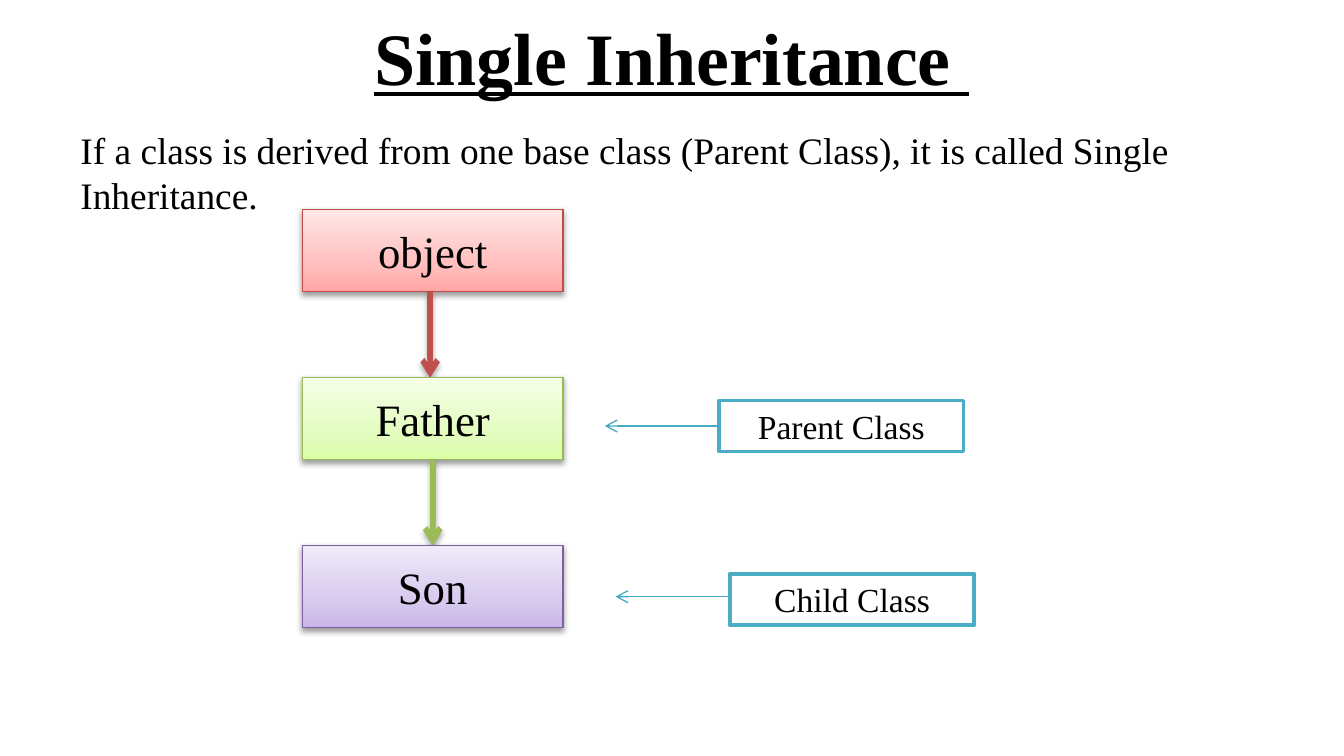
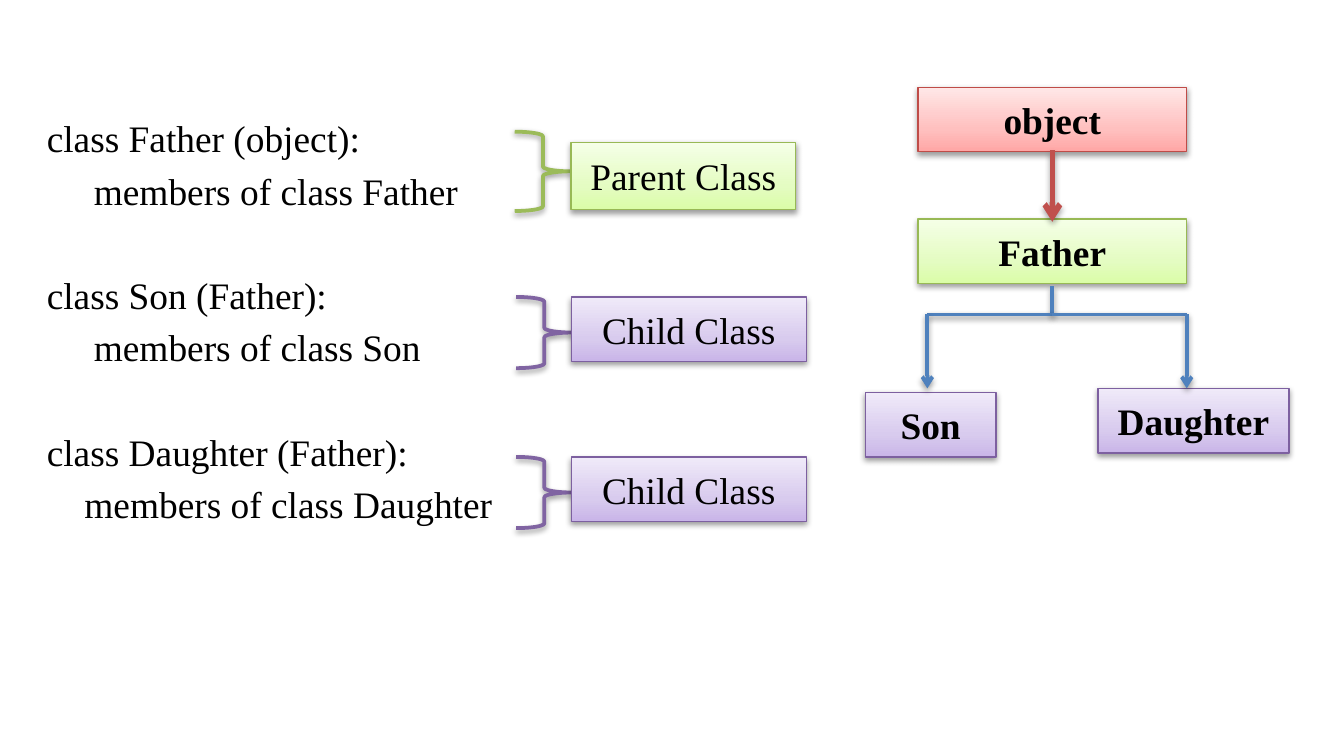
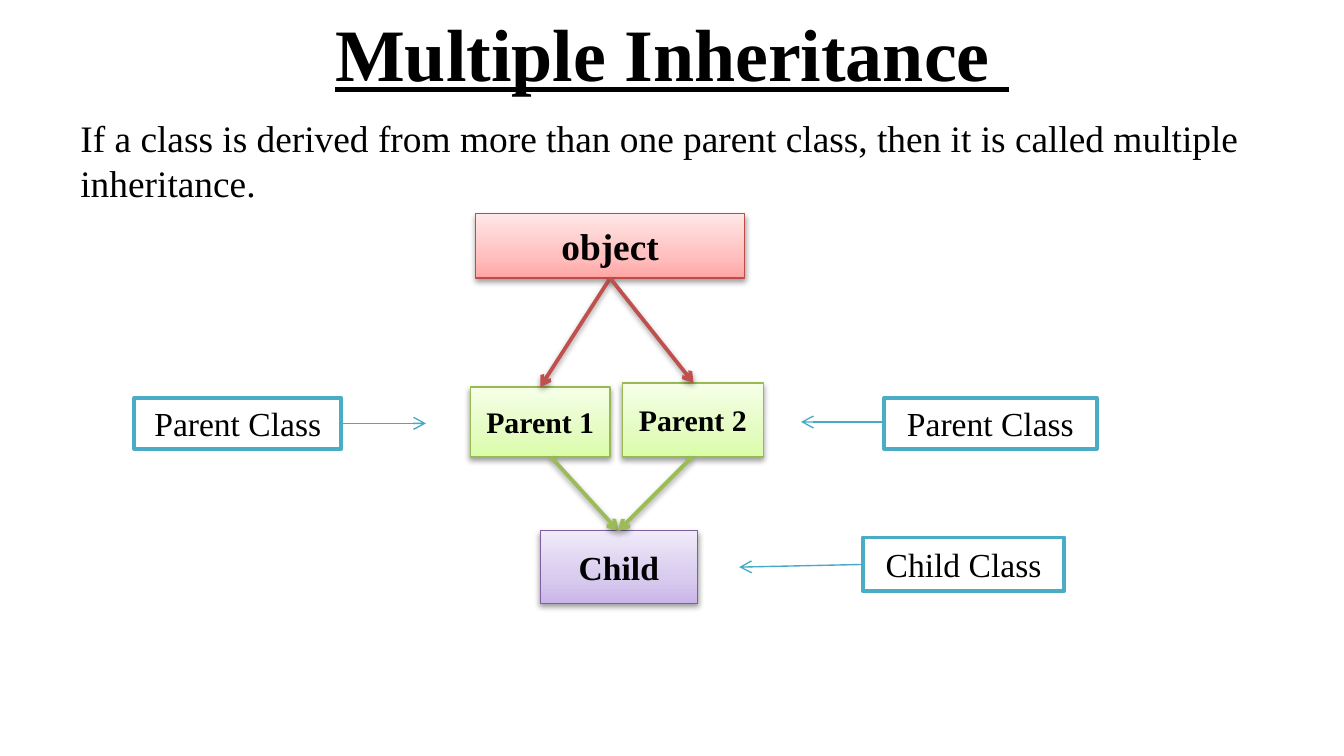
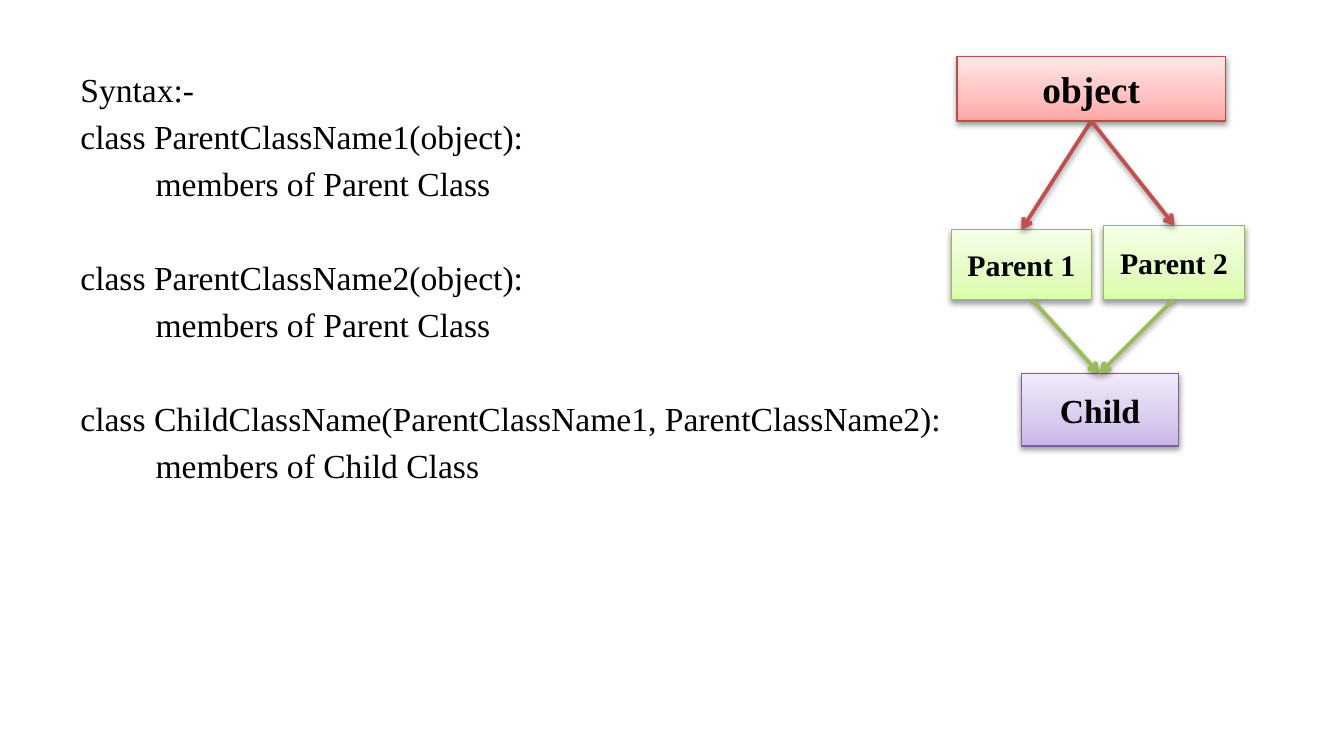
from dataclasses import dataclass, field

from lxml import etree
from pptx import Presentation
from pptx import util as u
from pptx.dml.color import RGBColor
from pptx.enum import shapes, text
from pptx.oxml import ns


@dataclass(frozen=True)
class Theme:
    """Colours, font and type sizes shared by all slides."""
    font: str = "Times New Roman"
    ink: str = "000000"
    paper: str = "FFFFFF"
    callout_edge: str = "4BACC6"
    callout_arrow: str = "46AAC5"
    tree: str = "4F81BD"
    title: float = 39.6
    large: int = 24
    body: int = 20
    label: int = 18
    small: int = 16
    thin: float = 0.75
    medium: int = 2
    thick: int = 3
    gradients: dict = field(default_factory=lambda: {
        "root": ("FFA6A5", "FFC0BF", "FFE7E7"),
        "parent": ("DAFDA7", "E4FCC2", "F5FFE7"),
        "child": ("C9B5E8", "D8CBEE", "F0EAF9"),
    })
    edges: dict = field(default_factory=lambda: {
        "root": "BF4C48", "parent": "98B955", "child": "7D60A0"})
    accents: dict = field(default_factory=lambda: {
        "root": "C0504D", "parent": "9BBB59", "child": "8064A2"})


THEME = Theme()
BOX_SHADOW = {"blurRad": 40000, "dist": 20000, "alpha": 38000}
ARROW_SHADOW = {"blurRad": 40000, "dist": 23000, "alpha": 35000}


def add_node(parent, tag, **values):
    """Append a drawing element with attributes and return it."""
    node = etree.SubElement(parent, ns.qn(tag))
    for name, value in values.items():
        node.set(name, str(value))
    return node


def add_shadow(effects, shadow):
    """Put a downward outer shadow in an effect list."""
    outer = add_node(effects, "a:outerShdw", blurRad=shadow["blurRad"], dist=shadow["dist"],
                     dir=5400000, rotWithShape=0)
    colour = add_node(outer, "a:srgbClr", val=THEME.ink)
    add_node(colour, "a:alpha", val=shadow["alpha"])


def set_line(line, colour, width):
    """Set the colour and width in points of a line."""
    line.color.rgb = RGBColor.from_string(colour)
    line.width = u.Pt(width)


def set_gradient(shape, colours):
    """Fill a shape with a three-stop gradient running upwards."""
    shape.fill.gradient()
    gradient = shape._element.spPr.find(ns.qn("a:gradFill"))
    for child in list(gradient):
        gradient.remove(child)
    stops = add_node(gradient, "a:gsLst")
    for position, colour in zip((0, 35000, 100000), colours):
        add_node(add_node(stops, "a:gs", pos=position), "a:srgbClr", val=colour)
    add_node(gradient, "a:lin", ang=16200000, scaled=0)


def write(para, words, size, **values):
    """Write one span of text with the given format values."""
    span = para.add_run()
    span.text = words
    span.font.color.rgb = RGBColor.from_string(THEME.ink)
    for name, value in {"name": THEME.font, "size": u.Pt(size), **values}.items():
        setattr(span.font, name, value)


def add_text_frame(page, box):
    """Add a wrapping text box and return its frame."""
    frame = page.shapes.add_textbox(*map(u.Inches, box)).text_frame
    frame.word_wrap = True
    return frame


def add_title(page, words, box):
    """Add the centred, underlined slide title."""
    frame = add_text_frame(page, box)
    frame.vertical_anchor = text.MSO_ANCHOR.MIDDLE
    para = frame.paragraphs[0]
    para.alignment = text.PP_ALIGN.CENTER
    write(para, words, THEME.title, bold=True, underline=True)


def add_body(page, blocks, box, size):
    """Add blocks of (words, indent) lines, set one line apart."""
    frame = add_text_frame(page, box)
    para = None
    for block in blocks:
        for index, (words, indent) in enumerate(block):
            opens_later_block = para is not None and index == 0
            para = frame.paragraphs[0] if para is None else frame.add_paragraph()
            para.line_spacing = u.Pt(1.2 * size)
            para.space_before = u.Pt((1.6 if opens_later_block else 0.2) * size)
            if indent:
                para._p.get_or_add_pPr().set("marL", str(u.Inches(indent)))
            write(para, words, size)


def add_shape(page, kind, box, edge, width):
    """Add a preset shape with an outline and no inherited shadow."""
    shape = page.shapes.add_shape(kind, *map(u.Inches, box))
    shape.shadow.inherit = False
    set_line(shape.line, edge, width)
    return shape


def add_label(shape, words, size, bold=False):
    """Centre a label in a shape."""
    frame = shape.text_frame
    frame.word_wrap = True
    frame.vertical_anchor = text.MSO_ANCHOR.MIDDLE
    para = frame.paragraphs[0]
    para.alignment = text.PP_ALIGN.CENTER
    write(para, words, size, bold=bold)


def add_class_box(page, role, words, box, size, bold=False):
    """Add a shaded class box coloured by its role."""
    shape = add_shape(page, shapes.MSO_SHAPE.RECTANGLE, box, THEME.edges[role], THEME.thin)
    set_gradient(shape, THEME.gradients[role])
    add_shadow(shape._element.spPr.find(ns.qn("a:effectLst")), BOX_SHADOW)
    add_label(shape, words, size, bold)


def add_brace(page, role, box):
    """Add a right brace coloured by its role."""
    shape = add_shape(page, shapes.MSO_SHAPE.RIGHT_BRACE, box, THEME.accents[role], THEME.medium)
    shape.fill.background()
    add_shadow(shape._element.spPr.find(ns.qn("a:effectLst")), BOX_SHADOW)


def add_line(page, start, end, colour, width, arrow=True, shadow=None):
    """Add a straight connector, with an arrowhead at its end if asked."""
    line = page.shapes.add_connector(shapes.MSO_CONNECTOR.STRAIGHT,
                                     *map(u.Inches, (*start, *end)))
    set_line(line.line, colour, width)
    if arrow:
        add_node(line.line._get_or_add_ln(), "a:tailEnd", type="arrow")
    effects = add_node(line._element.spPr, "a:effectLst")
    if shadow:
        add_shadow(effects, shadow)


def add_callout(page, words, box, start, tip):
    """Add an outlined label with a thin arrow to a class box."""
    shape = add_shape(page, shapes.MSO_SHAPE.RECTANGLE, box, THEME.callout_edge, THEME.medium)
    shape.fill.solid()
    shape.fill.fore_color.rgb = RGBColor.from_string(THEME.paper)
    add_label(shape, words, THEME.label)
    add_line(page, start, tip, THEME.callout_arrow, THEME.thin)


def add_chain(page, left, top):
    """Add the object, Father and Son column with its arrows."""
    width, height, step = 1.94, 0.61, 1.25
    classes = (("root", "object", 0.95), ("parent", "Father", 0.97), ("child", "Son", None))
    for index, (role, words, arrow_x) in enumerate(classes):
        y = top + index * step
        add_class_box(page, role, words, (left, y, width, height), THEME.large)
        if arrow_x:
            x = left + arrow_x
            add_line(page, (x, y + height), (x, y + step), THEME.accents[role],
                     THEME.thick, shadow=ARROW_SHADOW)


def add_family_tree(page, left, top):
    """Add the tree in which Son and Daughter derive from Father."""
    for role, words, x, y, width in (
            ("root", "object", 0.39, 0, 2), ("parent", "Father", 0.39, 0.98, 2),
            ("child", "Son", 0, 2.27, 0.97), ("child", "Daughter", 1.73, 2.24, 1.42)):
        add_class_box(page, role, words, (left + x, top + y, width, 0.48), THEME.body, bold=True)
    middle, fork, tips = left + 1.39, top + 1.69, top + 2.24
    add_line(page, (middle, top + 0.47), (middle, top + 1), THEME.accents["root"],
             THEME.thick, shadow=ARROW_SHADOW)
    add_line(page, (middle, top + 1.48), (middle, fork), THEME.tree,
             THEME.medium, arrow=False, shadow=BOX_SHADOW)
    for x in (left + 0.46, left + 2.39):
        add_line(page, (middle, fork), (x, fork), THEME.tree,
                 THEME.medium, arrow=False, shadow=BOX_SHADOW)
        add_line(page, (x, fork), (x, tips), THEME.tree, THEME.medium, shadow=BOX_SHADOW)


def add_diamond(page, left, top):
    """Add the diamond in which Child derives from two parents."""
    for role, words, x, y, width, height, size in (
            ("parent", "Parent 1", 0, 1.29, 1.04, 0.52, THEME.small),
            ("parent", "Parent 2", 1.13, 1.26, 1.05, 0.55, THEME.small),
            ("child", "Child", 0.52, 2.36, 1.17, 0.54, THEME.label),
            ("root", "object", 0.04, 0, 2, 0.48, THEME.body)):
        add_class_box(page, role, words, (left + x, top + y, width, height), size, bold=True)
    for role, start, end in (
            ("parent", (0.6, 1.81), (1.1, 2.36)), ("parent", (1.65, 1.81), (1.1, 2.36)),
            ("root", (1.04, 0.48), (0.52, 1.29)), ("root", (1.04, 0.48), (1.66, 1.26))):
        add_line(page, (left + start[0], top + start[1]), (left + end[0], top + end[1]),
                 THEME.accents[role], THEME.medium, shadow=BOX_SHADOW)


def build_single(page):
    """Build the slide that explains single inheritance."""
    add_title(page, "Single Inheritance ", (0.5, 0.02, 9, 0.79))
    add_body(page, [[("If a class is derived from one base class (Parent Class), "
                      "it is called Single Inheritance.", 0)]], (0.5, 0.9, 9, 1), THEME.body)
    add_chain(page, 2.25, 1.56)
    add_callout(page, "Parent Class", (5.35, 2.98, 1.82, 0.38), (5.35, 3.17), (4.5, 3.17))
    add_callout(page, "Child Class", (5.43, 4.27, 1.82, 0.38), (5.43, 4.44), (4.58, 4.44))


def build_single_syntax(page):
    """Build the slide with class code, braces and family tree."""
    members = (("Father", "object", 0.35), ("Son", "Father", 0.35), ("Daughter", "Father", 0.28))
    blocks = [[(f"class {name} ({base}):", 0), (f"members of class {name}", indent)]
              for name, base, indent in members]
    add_body(page, blocks, (0.25, 0.81, 4.5, 3.75), THEME.body)
    add_brace(page, "parent", (3.83, 0.98, 0.42, 0.59))
    add_class_box(page, "parent", "Parent Class", (4.25, 1.06, 1.67, 0.5), THEME.body)
    for top in (2.21, 3.4):
        add_brace(page, "child", (3.84, top, 0.42, 0.53))
        add_class_box(page, "child", "Child Class", (4.25, top, 1.75, 0.48), THEME.body)
    add_family_tree(page, 6.44, 0.65)


def build_multiple(page):
    """Build the slide that explains multiple inheritance."""
    add_title(page, "Multiple Inheritance ", (0.5, 0.02, 9, 0.73))
    add_body(page, [[("If a class is derived from more than one parent class, then it is "
                      "called multiple inheritance.", 0)]], (0.5, 0.81, 9, 1.31), THEME.body)
    add_callout(page, "Parent Class", (6.58, 2.96, 1.58, 0.38), (6.58, 3.14), (5.96, 3.14))
    add_callout(page, "Child Class", (6.42, 4, 1.5, 0.4), (6.42, 4.2), (5.5, 4.22))
    add_callout(page, "Parent Class", (1, 2.96, 1.54, 0.38), (2.52, 3.15), (3.17, 3.15))
    add_diamond(page, 3.5, 1.59)


def build_multiple_syntax(page):
    """Build the slide with the syntax of multiple inheritance."""
    blocks = [
        [("Syntax:-", 0), ("class ParentClassName1(object):", 0),
         ("members of Parent Class", 0.56)],
        [("class ParentClassName2(object):", 0), ("members of Parent Class", 0.56)],
        [("class ChildClassName(ParentClassName1, ParentClassName2):", 0),
         ("members of Child Class", 0.56)],
    ]
    add_body(page, blocks, (0.5, 0.46, 9, 4.52), THEME.label)
    add_diamond(page, 7.08, 0.42)


def main():
    """Build and save the widescreen deck."""
    deck = Presentation()
    deck.slide_width, deck.slide_height = u.Inches(10), u.Inches(10 * 9 / 16)
    for build in (build_single, build_single_syntax, build_multiple, build_multiple_syntax):
        build(deck.slides.add_slide(deck.slide_layouts[6]))
    deck.save("out.pptx")


main()
